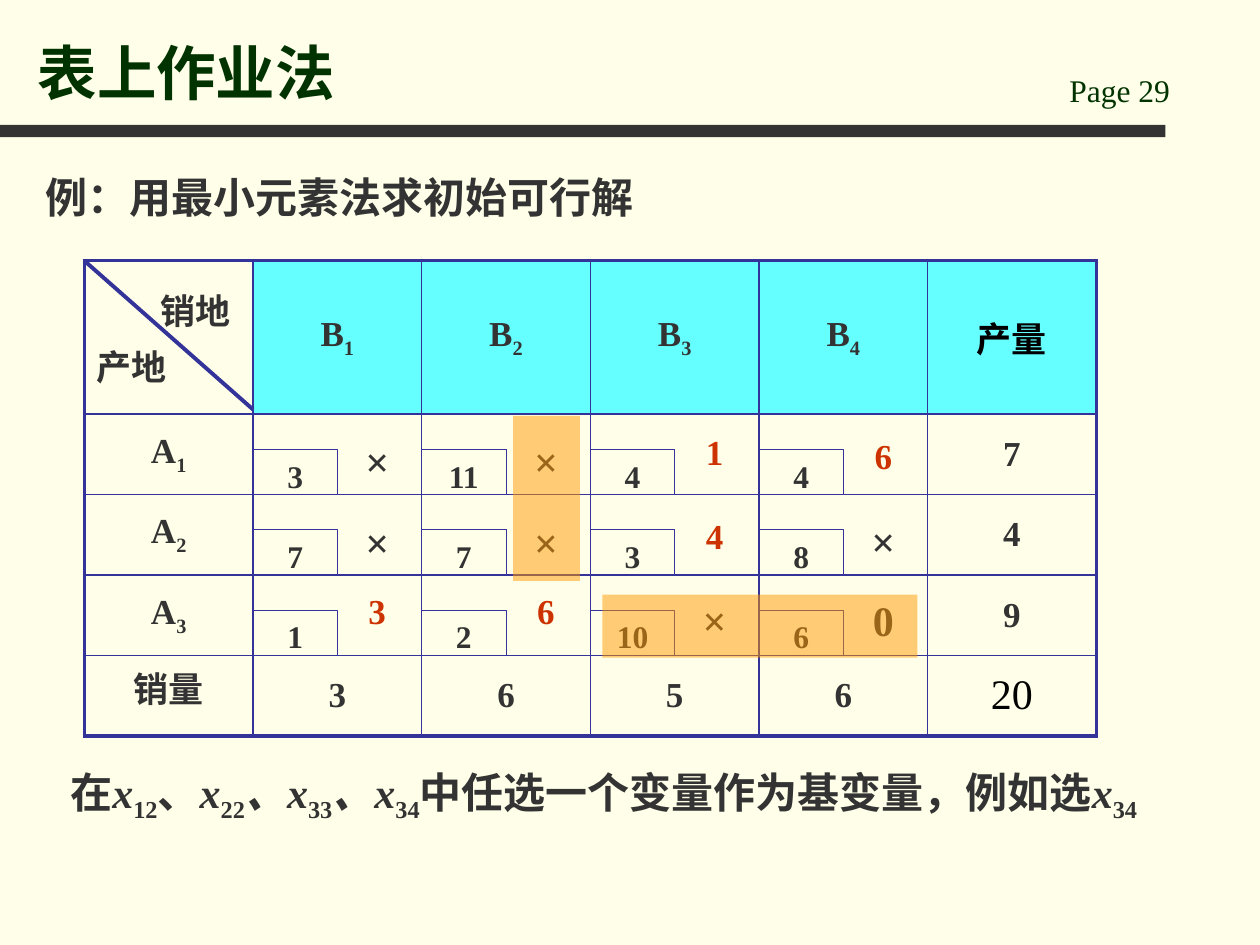
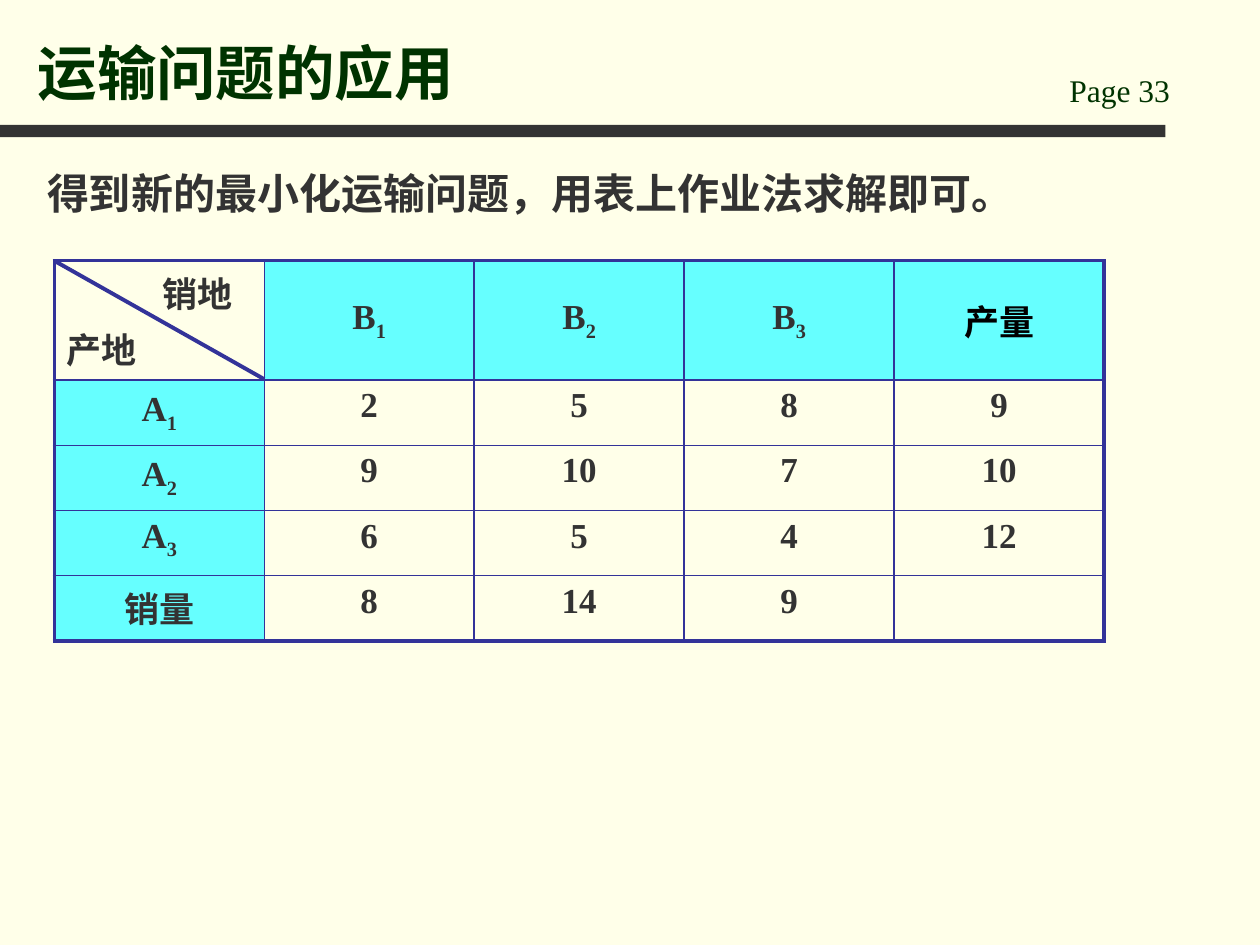
from lxml import etree
from pptx import Presentation
from pptx.dml.color import RGBColor
from pptx.enum.shapes import MSO_CONNECTOR, MSO_SHAPE
from pptx.enum.text import MSO_ANCHOR, PP_ALIGN
from pptx.oxml.ns import qn
from pptx.util import Pt

LEFT, CENTER = PP_ALIGN.LEFT, PP_ALIGN.CENTER
TOP, MIDDLE, BOTTOM = MSO_ANCHOR.TOP, MSO_ANCHOR.MIDDLE, MSO_ANCHOR.BOTTOM
RECT, STRAIGHT = MSO_SHAPE.RECTANGLE, MSO_CONNECTOR.STRAIGHT


class Theme:
    font = "Times New Roman"
    paper, ink, black = "FFFFE9", "333333", "000000"
    title, rule, header = "003300", "333399", "66FFFF"
    chosen, highlight = "CC3300", "FF9900"
    title_size, body_size, cell_size, small_size = 34, 24, 20, 18
    frame_width, grid_width, cost_width = 2.25, 1, 0.25


def rgb(value):
    return RGBColor.from_string(value)


def write(p, text, size, color=Theme.ink, bold=True, align=CENTER,
          spacing=None, before=0):
    """Runs are split at |; a leading _ means subscript, a leading / italic."""
    p.alignment = align
    if spacing:
        p.line_spacing = spacing
    if before:
        space = p._p.get_or_add_pPr().get_or_add_spcBef()
        etree.SubElement(space, qn("a:spcPct"), val=str(before * 1000))
    for piece in text.split("|"):
        r = p.add_run()
        r.text = piece.lstrip("_/")
        r.font.name, r.font.size, r.font.bold = Theme.font, Pt(size), bold
        r.font.color.rgb = rgb(color)
        if piece.startswith("/"):
            r.font.italic = True
        if piece.startswith("_"):
            r.font._element.set("baseline", "-25000")


prs = Presentation()
prs.slide_width, prs.slide_height = Pt(720), Pt(540)

pages = [
    dict(title="表上作业法", page="Page 29", lead="例：用最小元素法求初始可行解",
         lead_box=(18.7, 88.6, 350.6, 42), lead_wrap=False, lead_align=CENTER,
         lead_before=20, left=48.2, col=96.4, head=87.7, row=46, indent=36.5,
         diagonal=85, fill_sources=False, top_cells={(4, 0)},
         rows=[["", "B|_1", "B|_2", "B|_3", "B|_4", "产量"],
               ["A|_1", "", "", "", "", "7"],
               ["A|_2", "", "", "", "", "4"],
               ["A|_3", "", "", "", "", "9"],
               ["销量", "3", "6", "5", "6", ""]]),
    dict(title="运输问题的应用", page="Page 33",
         lead="得到新的最小化运输问题，用表上作业法求解即可。",
         lead_box=(19.8, 86.4, 607, 42), lead_wrap=True, lead_align=LEFT,
         lead_before=50, left=31, col=120, head=68.2, row=37.3, indent=54.5,
         diagonal=67.7, fill_sources=True,
         top_cells={(3, 0), (4, 0)} | {(i, j) for i in range(1, 5) for j in range(1, 5)},
         rows=[["", "B|_1", "B|_2", "B|_3", "产量"],
               ["A|_1", "2", "5", "8", "9"],
               ["A|_2", "9", "10", "7", "10"],
               ["A|_3", "6", "5", "4", "12"],
               ["销量", "8", "14", "9", ""]]),
]
TABLE_TOP = 149

for pg in pages:
    s = prs.slides.add_slide(prs.slide_layouts[6])
    s.background.fill.solid()
    s.background.fill.fore_color.rgb = rgb(Theme.paper)

    # Band under the title
    sp = s.shapes.add_shape(RECT, Pt(0), Pt(71.4), Pt(666), Pt(7))
    sp.shadow.inherit = False
    sp.fill.solid()
    sp.fill.fore_color.rgb = rgb(Theme.ink)
    sp.line.fill.background()

    # Page number, title and lead sentence
    for box, text, anchor, wrap, style in [
        ((604, 37, 102, 29), pg["page"], TOP, True,
         dict(size=Theme.small_size, color=Theme.title, bold=False, align=LEFT)),
        ((14.4, 9, 578, 56), pg["title"], BOTTOM, True,
         dict(size=Theme.title_size, color=Theme.title, align=LEFT)),
        (pg["lead_box"], pg["lead"], TOP, pg["lead_wrap"],
         dict(size=Theme.body_size, align=pg["lead_align"], spacing=1.2,
              before=pg["lead_before"])),
    ]:
        tf = s.shapes.add_textbox(*map(Pt, box)).text_frame
        tf.word_wrap, tf.vertical_anchor = wrap, anchor
        write(tf.paragraphs[0], text, **style)

    # Transport table
    rows = pg["rows"]
    n_rows, n_cols = len(rows), len(rows[0])
    table = s.shapes.add_table(
        n_rows, n_cols, Pt(pg["left"]), Pt(TABLE_TOP), Pt(pg["col"] * n_cols),
        Pt(pg["head"] + pg["row"] * (n_rows - 1))).table
    table.first_row = table.horz_banding = False
    for column in table.columns:
        column.width = Pt(pg["col"])
    for i, row in enumerate(rows):
        table.rows[i].height = Pt(pg["row"] if i else pg["head"])
        for j, text in enumerate(row):
            cell = table.cell(i, j)
            cell.vertical_anchor = TOP if (i, j) in pg["top_cells"] else MIDDLE
            if (i == 0 and j > 0) or (j == 0 and i > 0 and pg["fill_sources"]):
                cell.fill.solid()
                cell.fill.fore_color.rgb = rgb(Theme.header)
            else:
                cell.fill.background()
            if text:
                write(cell.text_frame.paragraphs[0], text, Theme.cell_size,
                      Theme.black if text == "产量" else Theme.ink, before=15)
            # Heavy outer frame, thin inner grid
            outer = [("L", j == 0), ("R", j == n_cols - 1),
                     ("T", i == 0), ("B", i == n_rows - 1)]
            for k, (side, is_outer) in enumerate(outer):
                width = Theme.frame_width if is_outer else Theme.grid_width
                ln = etree.Element(qn("a:ln" + side), w=str(Pt(width)))
                fill = etree.SubElement(ln, qn("a:solidFill"))
                etree.SubElement(fill, qn("a:srgbClr"), val=Theme.rule)
                cell._tc.get_or_add_tcPr().insert(k, ln)

    # Corner cell with its diagonal
    tf = table.cell(0, 0).text_frame
    write(tf.paragraphs[0], "销地", Theme.cell_size, align=LEFT, before=15)
    tf.paragraphs[0]._p.get_or_add_pPr().set("marL", str(Pt(pg["indent"])))
    write(tf.add_paragraph(), "产地", Theme.cell_size, align=LEFT, before=15)
    diagonal = s.shapes.add_connector(
        STRAIGHT, Pt(pg["left"]), Pt(TABLE_TOP),
        Pt(pg["left"] + pg["col"]), Pt(TABLE_TOP + pg["diagonal"]))
    diagonal.line.color.rgb = rgb(Theme.rule)
    diagonal.line.width = Pt(Theme.frame_width)
    etree.SubElement(diagonal._element.spPr, qn("a:effectLst"))

    if pg is not pages[0]:
        continue

    # Total of supply and demand
    write(table.cell(4, 5).text_frame.paragraphs[0], "20", Theme.body_size,
          Theme.black, bold=False)

    # Unit cost in the lower left of each cell
    costs = [[3, 11, 4, 4], [7, 7, 3, 8], [1, 2, 10, 6]]
    for i, row in enumerate(costs):
        bottom = TABLE_TOP + pg["head"] + pg["row"] * (i + 1)
        for j, cost in enumerate(row):
            x = pg["left"] + pg["col"] * (j + 1)
            sp = s.shapes.add_shape(RECT, Pt(x), Pt(bottom - 26.2),
                                    Pt(pg["col"] / 2), Pt(26))
            sp.shadow.inherit = False
            sp.fill.background()
            sp.line.color.rgb = rgb(Theme.rule)
            sp.line.width = Pt(Theme.cost_width)
            tf = sp.text_frame
            tf.margin_left = tf.margin_right = tf.margin_top = tf.margin_bottom = 0
            tf.vertical_anchor = MIDDLE
            write(tf.paragraphs[0], str(cost), Theme.small_size, spacing=1.2, before=50)

    # Shipped amount, or × for an unused route: text and top
    amounts = [[("×", 239.8), ("×", 239.8), ("1", 237.6), ("6", 239.8)],
               [("×", 285.8), ("×", 285.8), ("4", 285.8), ("×", 285.1)],
               [("3", 328.3), ("6", 328.3), ("×", 330.5), ("0", 330.5)]]
    for row in amounts:
        for j, (amount, top) in enumerate(row):
            x = pg["left"] + pg["col"] * (j + 1) + 45.4
            unused = amount in "×0"
            tf = s.shapes.add_textbox(Pt(x), Pt(top), Pt(51.1),
                                      Pt(42 if unused else 36)).text_frame
            tf.word_wrap = True
            write(tf.paragraphs[0], amount,
                  Theme.body_size if unused else Theme.cell_size,
                  Theme.ink if unused else Theme.chosen, spacing=1.2, before=50)

    # Translucent marks over the candidate cells
    for box in [(293.2, 237.6, 38.2, 94.3), (344.3, 339.8, 180, 36)]:
        sp = s.shapes.add_shape(RECT, *map(Pt, box))
        sp.shadow.inherit = False
        sp.fill.solid()
        sp.fill.fore_color.rgb = rgb(Theme.highlight)
        color = sp._element.spPr.find(qn("a:solidFill")).find(qn("a:srgbClr"))
        etree.SubElement(color, qn("a:alpha"), val="50000")
        sp.line.fill.background()

    # Conclusion
    tf = s.shapes.add_textbox(Pt(33.1), Pt(434.2), Pt(661), Pt(36)).text_frame
    tf.word_wrap = True
    write(tf.paragraphs[0],
          "在|/x|_12|、|/x|_22|/、x|_33|/、x|_34|中任选一个变量作为基变量，例如选|/x|_34",
          Theme.body_size, align=LEFT)

prs.save("out.pptx")
